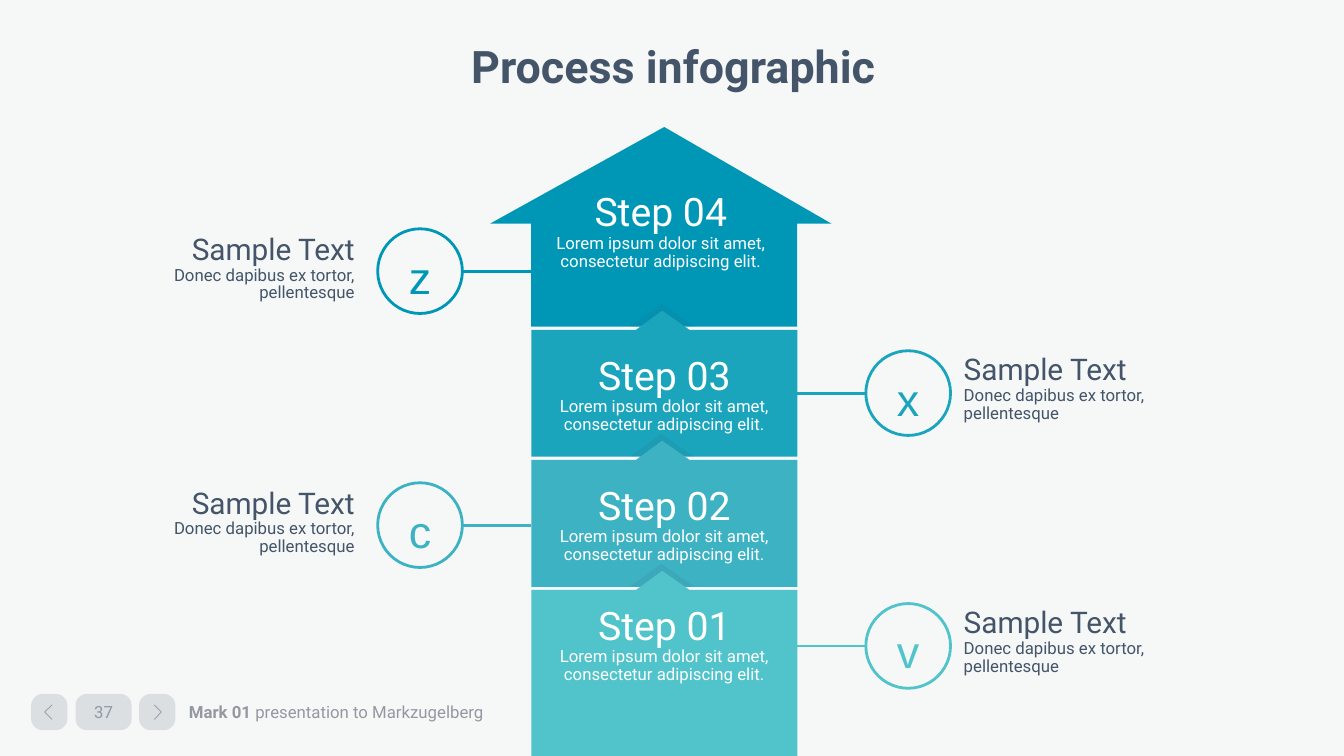
from lxml import etree
from pptx import Presentation
from pptx.dml.color import RGBColor
from pptx.enum.shapes import MSO_CONNECTOR, MSO_SHAPE
from pptx.enum.text import MSO_ANCHOR, PP_ALIGN
from pptx.oxml.ns import qn
from pptx.util import Pt

LEFT, CENTER, RIGHT = PP_ALIGN.LEFT, PP_ALIGN.CENTER, PP_ALIGN.RIGHT
TOP, MIDDLE = MSO_ANCHOR.TOP, MSO_ANCHOR.MIDDLE
OVAL, ROUNDED = MSO_SHAPE.OVAL, MSO_SHAPE.ROUNDED_RECTANGLE
STRAIGHT = MSO_CONNECTOR.STRAIGHT

COLORS = {
    "background": "F6F8F8", "ink": "445469", "footer": "9499A1", "white": "FFFFFF",
    "step4": "0097B7", "step3": "1AA5BD", "step2": "3CB2C3", "step1": "51C3CA",
}
TITLE = "Process infographic"
LOREM = "Lorem ipsum dolor sit amet, consectetur adipiscing elit."
# heading, colour, space above the text, bottom edge
BANDS = [
    ("Step 03", "step3", 28.8, 326.2),
    ("Step 02", "step2", 28.8, 419.2),
    ("Step 01", "step1", 21.6, 540),
]
CALLOUT_HEAD, CALLOUT_BODY = "Sample Text", "Donec dapibus ex tortor, pellentesque"
# letter, colour, side, centre height
CALLOUTS = [
    ("z", "step4", LEFT, 193.7),
    ("c", "step2", LEFT, 375.1),
    ("x", "step3", RIGHT, 280.8),
    ("v", "step1", RIGHT, 461.4),
]
FOOTER = [("Mark 01 ", True), ("presentation to Markzugelberg", False)]
# left edge, width, corner ratio, text
CHIPS = [(22.2, 26, 0.327, ""), (54, 40, 0.311, "37"), (99.3, 26, 0.327, "")]
CHEVRONS = [(37.2, 31.9), (110.2, 115.3)]  # x of the ends, x of the tip

BODY_LEFT, BODY_RIGHT = 379.5, 569.5
FIRST_PEAK, BAND_PITCH = 221.9, 92.9
CIRCLE = 60.5
CHIP_TOP, CHIP_HEIGHT = 495.6, 26

prs = Presentation()
prs.slide_width, prs.slide_height = Pt(960), Pt(540)
s = prs.slides.add_slide(prs.slide_layouts[6])


def rgb(name):
    return RGBColor.from_string(COLORS[name])


def set_alpha(element, percent):
    """Make every colour inside the element partly transparent."""
    for clr in element.iter(qn("a:srgbClr")):
        etree.SubElement(clr, qn("a:alpha")).set("val", str(percent * 1000))


def paint(shape, fill=None, line=None, width=2):
    shape.shadow.inherit = False
    if fill:
        shape.fill.solid()
        shape.fill.fore_color.rgb = rgb(fill)
    else:
        shape.fill.background()
    if line:
        shape.line.color.rgb = rgb(line)
        shape.line.width = Pt(width)
    else:
        shape.line.fill.background()


def outline(points, fill=None, line=None, width=2):
    """Draw a filled polygon, or an open polyline when there is no fill."""
    start, *rest = [(Pt(x), Pt(y)) for x, y in points]
    builder = s.shapes.build_freeform(*start)
    builder.add_line_segments(rest, close=bool(fill))
    shape = builder.convert_to_shape()
    paint(shape, fill, line, width)
    return shape


def write(shape, lines, color, align, margins, anchor=TOP, font="Roboto", bold=False):
    """Fill a shape with (text, size, line spacing) lines; margins run left, top, right, bottom."""
    tf = shape.text_frame
    tf.word_wrap, tf.vertical_anchor = True, anchor
    (tf.margin_left, tf.margin_top,
     tf.margin_right, tf.margin_bottom) = [Pt(m) for m in margins]
    for i, (text, size, spacing) in enumerate(lines):
        p = tf.add_paragraph() if i else tf.paragraphs[0]
        p.text, p.alignment, p.line_spacing = text, align, spacing
        p.font.name, p.font.size, p.font.bold = font, Pt(size), bold
        p.font.color.rgb = rgb(color)
    return tf


def textbox(x, y, w, h):
    return s.shapes.add_textbox(Pt(x), Pt(y), Pt(w), Pt(h))


def write_step(shape, heading, side, top):
    write(shape, [(heading, 28, 1.0), (LOREM, 12, 0.9)], "white", CENTER,
          (side, top, side, 3.6))


def add_arrow():
    shoulder, bottom = 159.8, 233.3
    arrow = outline([(594, shoulder), (474.5, 90.7), (350, shoulder), (BODY_LEFT, shoulder),
                     (BODY_LEFT, bottom), (BODY_RIGHT, bottom), (BODY_RIGHT, shoulder)], "step4")
    write_step(arrow, "Step 04", 36, 43.2)


def add_band(peak, heading, color, text_top, bottom):
    shade = outline([(496, peak + 11.4), (472.5, peak - 5), (450, peak + 11.4)], "ink")
    set_alpha(shade._element, 10)
    shoulder = peak + 13.7
    band = outline([(492.5, shoulder), (473, peak), (454.3, shoulder), (BODY_LEFT, shoulder),
                    (BODY_LEFT, bottom), (BODY_RIGHT, bottom), (BODY_RIGHT, shoulder)], color)
    write_step(band, heading, 7.2, text_top)


def add_callout(letter, color, side, middle):
    if side == LEFT:
        x, text_x, text_y, align = 269.8, 87.1, middle - 29.5, RIGHT
        line_ends = (x + CIRCLE, BODY_LEFT)
    else:
        x, text_x, text_y, align = 618.5, 679, middle - 30.5, LEFT
        line_ends = (BODY_RIGHT, x)
    circle = s.shapes.add_shape(OVAL, Pt(x), Pt(middle - CIRCLE / 2), Pt(CIRCLE), Pt(CIRCLE))
    paint(circle, line=color)
    write(circle, [(letter, 32, 1.0)], color, CENTER, (7.2, 7.2, 7.2, 0), MIDDLE, "Arial")
    line = s.shapes.add_connector(STRAIGHT, Pt(line_ends[0]), Pt(middle),
                                  Pt(line_ends[1]), Pt(middle))
    line.line.color.rgb, line.line.width = rgb(color), Pt(2)
    etree.SubElement(line._element.spPr, qn("a:effectLst"))
    write(textbox(text_x, text_y, 175.7, 57.6),
          [(CALLOUT_HEAD, 21.3, 0.89), (CALLOUT_BODY, 12, 0.89)],
          "ink", align, (9.4, 3.6, 9.4, 5))


def add_footer():
    for x, width, ratio, number in CHIPS:
        chip = s.shapes.add_shape(ROUNDED, Pt(x), Pt(CHIP_TOP), Pt(width), Pt(CHIP_HEIGHT))
        chip.adjustments[0] = ratio
        paint(chip, "ink")
        set_alpha(chip._element, 15)
        if number:
            tf = write(chip, [(number, 12, 1.0)], "ink", CENTER, (0, 0, 0, 0), MIDDLE)
            set_alpha(tf.paragraphs[0]._p, 50)
    middle = CHIP_TOP + CHIP_HEIGHT / 2
    for end_x, tip_x in CHEVRONS:
        chevron = outline([(end_x, middle - 5.2), (tip_x, middle), (end_x, middle + 5.2)],
                          line="ink", width=0.5)
        set_alpha(chevron._element, 50)
    tf = write(textbox(125.5, 496.3, 264, 24.6), [("", 12, 1.0)], "footer", LEFT,
               (9.4, 5, 9.4, 5), MIDDLE)
    for text, bold in FOOTER:
        r = tf.paragraphs[0].add_run()
        r.text, r.font.bold = text, bold


s.background.fill.solid()
s.background.fill.fore_color.rgb = rgb("background")
add_footer()
add_arrow()
for i, band in enumerate(BANDS):
    add_band(FIRST_PEAK + i * BAND_PITCH, *band)
for callout in CALLOUTS:
    add_callout(*callout)
write(textbox(67, 28.8, 828, 40.3), [(TITLE, 32, 0.9)], "ink", CENTER,
      (7.2, 3.6, 7.2, 3.6), MIDDLE, bold=True)

prs.save("out.pptx")
